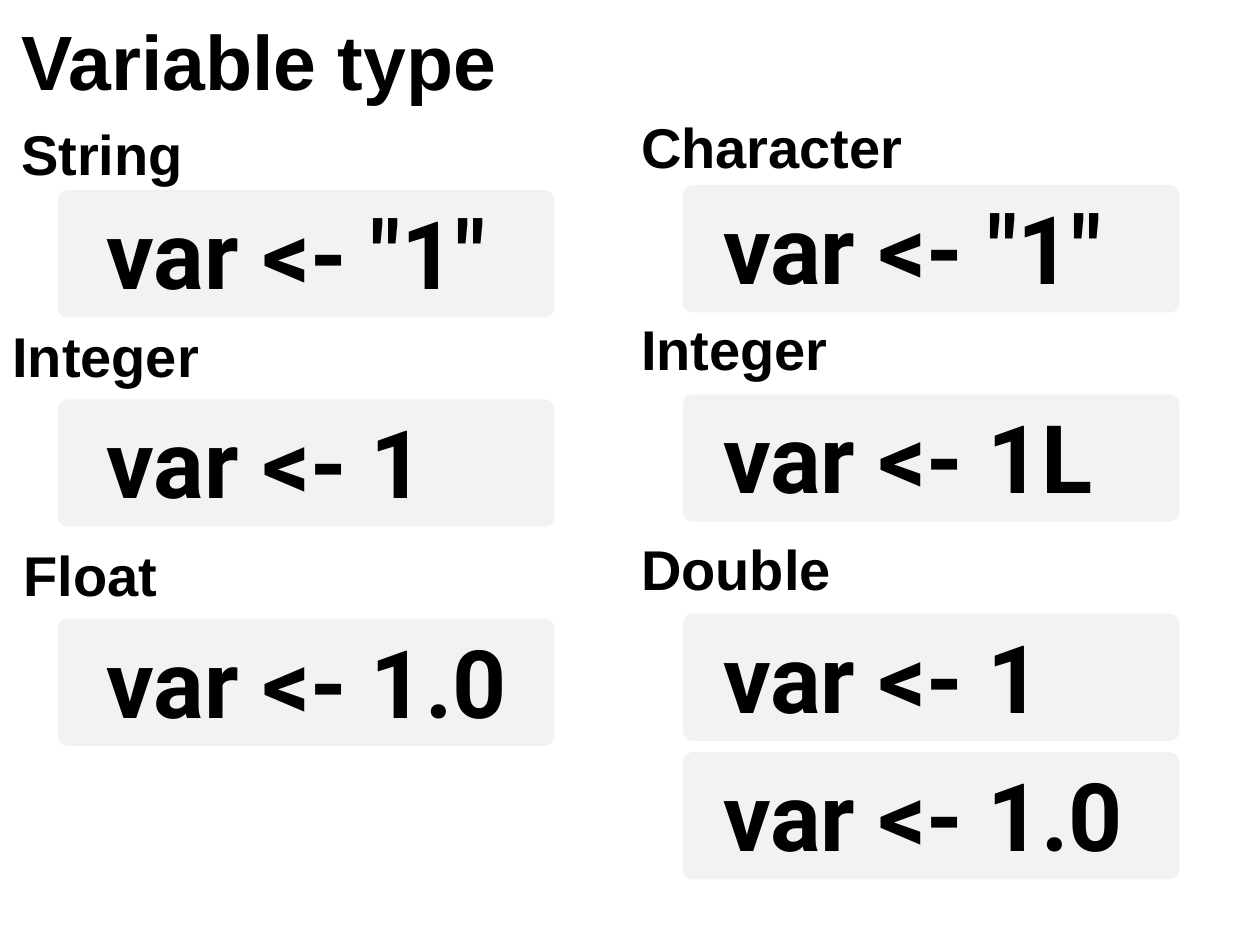
from pptx import Presentation
from pptx.dml.color import RGBColor as RGB
from pptx.enum.shapes import MSO_SHAPE as Shape
from pptx.enum.text import MSO_AUTO_SIZE as AutoSize
from pptx.util import Inches, Pt

THEME = {
    "ink": RGB(0, 0, 0), "panel": RGB(0xF2, 0xF2, 0xF2),
    "heading_font": "Arial", "code_font": "Roboto",
    "title": 44, "label": 32, "code": 54,
}

TITLE = "Variable type"
LABELS = [
    ("String", 0.07, 0.9, 1.5),
    ("Integer", 0, 2.5, 1.7),
    ("Float", 0.09, 4.24, 1.27),
    ("Character", 4.99, 0.84, 2.3),
    ("Integer", 4.99, 2.45, 1.7),
    ("Double", 4.99, 4.19, 1.72),
]
COLUMNS = [
    {"panel_x": 0.46, "code_x": 0.75, "examples": [
        ('var <- "1"', 1.51), ("var <- 1", 3.17), ("var <- 1.0", 4.91)]},
    {"panel_x": 5.42, "code_x": 5.64, "examples": [
        ('var <- "1"', 1.47), ("var <- 1L", 3.13), ("var <- 1", 4.87),
        ("var <- 1.0", 5.97)]},
]
CODE_WIDTHS = {'var <- "1"': 3.28, "var <- 1": 2.8,
               "var <- 1L": 3.18, "var <- 1.0": 3.39}
PANEL_W, PANEL_H, LABEL_H, TITLE_H = 3.94, 1.01, 0.64, 0.84
CODE_LIFT = 0.01


def add_text(s, text, *, x, y, w, h, size, font):
    """Add one bold, unwrapped line of text."""
    tf = s.shapes.add_textbox(Inches(x), Inches(y), Inches(w), Inches(h)).text_frame
    tf.word_wrap = False
    tf.auto_size = AutoSize.SHAPE_TO_FIT_TEXT
    r = tf.paragraphs[0].add_run()
    r.text = text
    r.font.name = THEME[font]
    r.font.size = Pt(THEME[size])
    r.font.bold = True
    r.font.color.rgb = THEME["ink"]


def add_panel(s, x, y):
    """Add the grey rounded panel behind a code example."""
    sp = s.shapes.add_shape(Shape.ROUNDED_RECTANGLE, Inches(x), Inches(y),
                            Inches(PANEL_W), Inches(PANEL_H))
    sp.adjustments[0] = 0.074
    sp.shadow.inherit = False
    sp.fill.solid()
    sp.fill.fore_color.rgb = THEME["panel"]
    sp.line.fill.background()


def main():
    """Build and save the slide."""
    prs = Presentation()
    prs.slide_width, prs.slide_height = Inches(10), Inches(7.5)
    s = prs.slides.add_slide(prs.slide_layouts[6])
    add_text(s, TITLE, x=0.07, y=0.06, w=4.01, h=TITLE_H,
             size="title", font="heading_font")
    for column in COLUMNS:
        for code, y in column["examples"]:
            add_panel(s, column["panel_x"], y)
            add_text(s, code, x=column["code_x"], y=y - CODE_LIFT,
                     w=CODE_WIDTHS[code], h=PANEL_H, size="code", font="code_font")
    for label, x, y, w in LABELS:
        add_text(s, label, x=x, y=y, w=w, h=LABEL_H,
                 size="label", font="heading_font")
    prs.save("out.pptx")


if __name__ == "__main__":
    main()
